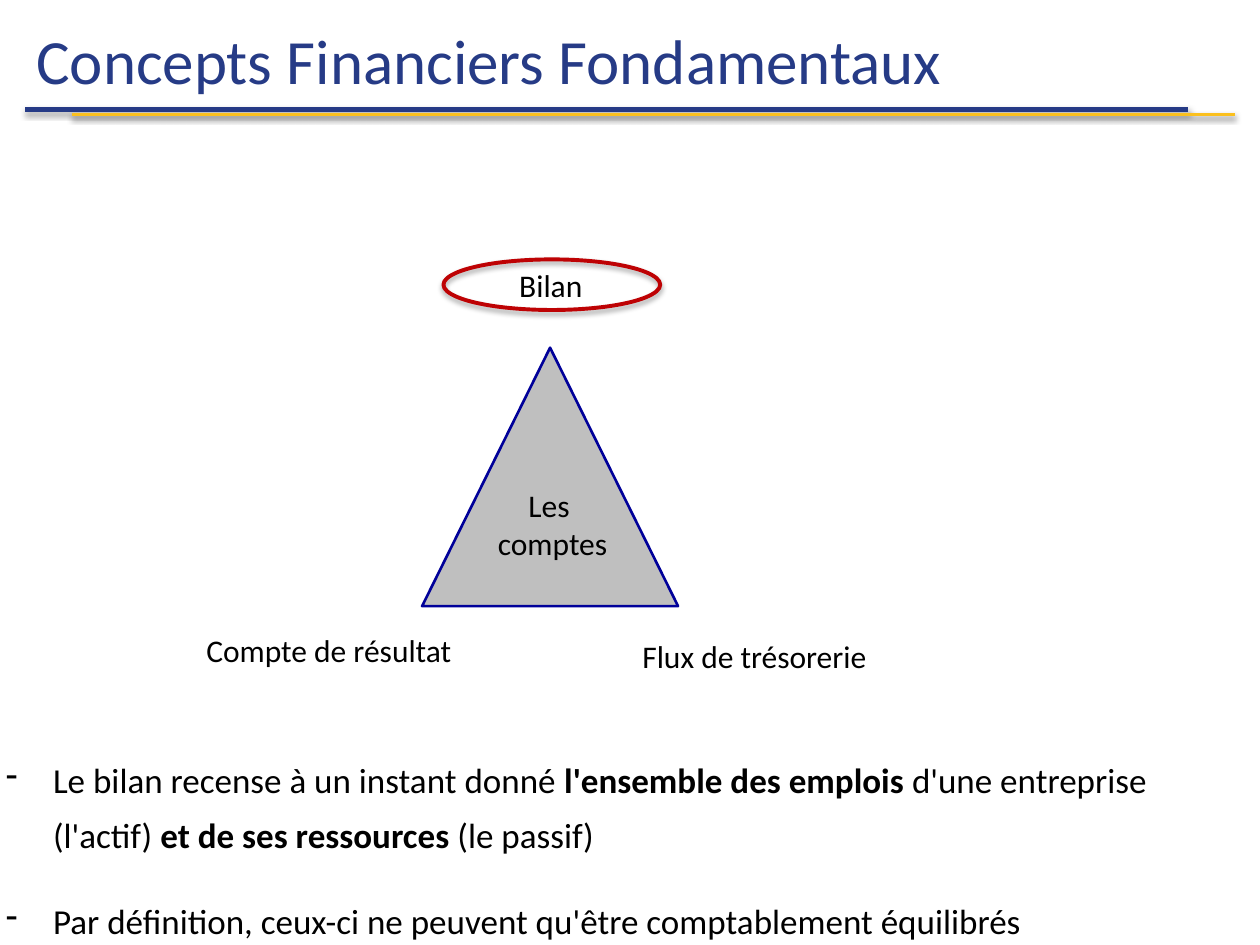
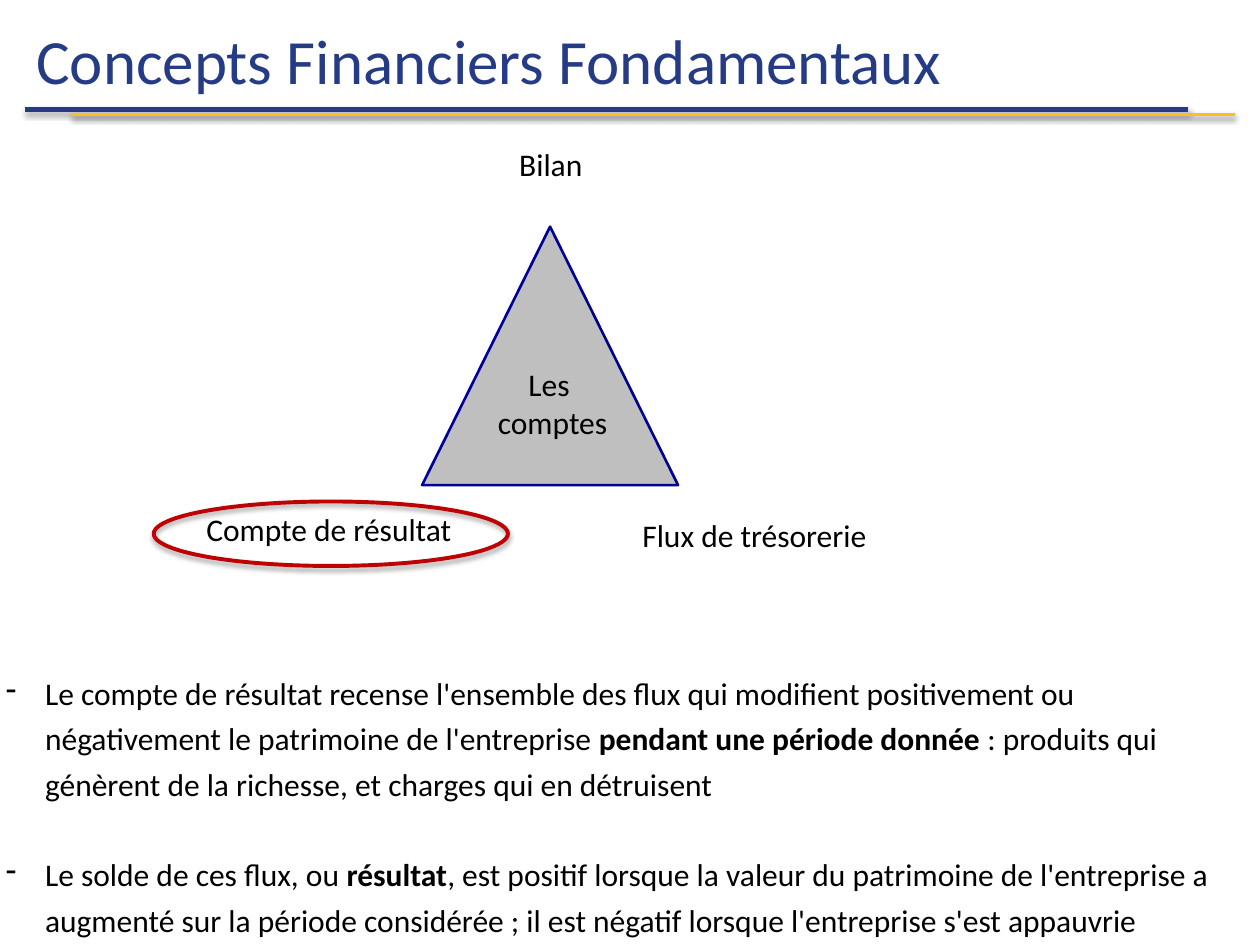
from dataclasses import dataclass

from lxml.etree import SubElement
from pptx import Presentation
from pptx.dml.color import RGBColor
from pptx.enum.shapes import MSO_CONNECTOR, MSO_SHAPE
from pptx.enum.text import MSO_ANCHOR, MSO_AUTO_SIZE, PP_ALIGN
from pptx.oxml.ns import qn
from pptx.util import Cm, Pt


@dataclass(frozen=True)
class Theme:
    font: str = "Calibri"
    navy: RGBColor = RGBColor(0x26, 0x3B, 0x86)
    gold: RGBColor = RGBColor(0xFB, 0xC0, 0x1E)
    black: RGBColor = RGBColor(0, 0, 0)
    grey: RGBColor = RGBColor(0xBF, 0xBF, 0xBF)
    outline: RGBColor = RGBColor(0, 0, 0x99)
    red: RGBColor = RGBColor(0xBE, 0x02, 0x04)
    title_size: int = 36
    label_size: int = 18


theme = Theme()


def write_text(shape, text, size=theme.label_size, color=theme.black,
               align=PP_ALIGN.LEFT, anchor=MSO_ANCHOR.TOP, margin=0,
               hanging=0, line_spacing=1.0, gap=0, grow=True):
    frame = shape.text_frame
    frame.word_wrap = True
    frame.auto_size = MSO_AUTO_SIZE.SHAPE_TO_FIT_TEXT if grow else MSO_AUTO_SIZE.NONE
    frame.vertical_anchor = anchor
    for index, line in enumerate(text.split("\n")):
        paragraph = frame.add_paragraph() if index else frame.paragraphs[0]
        properties = paragraph._p.get_or_add_pPr()
        properties.set("marL", str(Cm(margin)))
        properties.set("indent", str(Cm(-hanging)))
        if hanging:
            SubElement(properties, qn("a:buChar")).set("char", "-")
        paragraph.alignment = align
        paragraph.line_spacing = line_spacing
        paragraph.space_before = Pt(gap if index else 0)
        for position, part in enumerate(line.split("*")):
            if part:
                run = paragraph.add_run()
                run.text = part
                run.font.name = theme.font
                run.font.size = Pt(size)
                run.font.bold = position % 2 == 1
                run.font.color.rgb = color


def add_shadow(shape, distance, opacity):
    effects = SubElement(shape._element.spPr, qn("a:effectLst"))
    shadow = SubElement(effects, qn("a:outerShdw"), blurRad=str(Pt(3.1)),
                        dist=str(Pt(distance)), dir="5400000", rotWithShape="0")
    color = SubElement(shadow, qn("a:srgbClr"), val=str(theme.black))
    SubElement(color, qn("a:alpha"), val=str(opacity * 1000))


title_rules = [
    (0.51, 2.21, theme.navy, 3),
    (1.45, 2.31, theme.gold, 2),
]
rule_length = 23.44

corner_labels = [
    ("Bilan", 9.63, 0, 2.95, 1.02, PP_ALIGN.CENTER),
    ("Compte de résultat", 3.91, 7.37, 7.59, 1.6, PP_ALIGN.LEFT),
    ("Flux de trésorerie", 12.7, 7.49, 7.52, 1.6, PP_ALIGN.LEFT),
]

slides = [
    {
        "diagram_top": 5.23,
        "highlight": (8.94, 5.23, 4.37, 1.02),
        "body_top": 14.91,
        "body_height": 4.19,
        "body": "Le bilan recense à un instant donné *l'ensemble des emplois *"
                "d'une entreprise (l'actif) *et de ses ressources *(le passif)\n"
                "Par définition, ceux-ci ne peuvent qu'être comptablement équilibrés",
        "format": {"size": 20, "margin": 0.95, "hanging": 0.95,
                   "line_spacing": 1.3, "gap": 18},
    },
    {
        "diagram_top": 2.79,
        "highlight": (3.1, 10.11, 7.14, 1.3),
        "body_top": 13.31,
        "body_height": 5.77,
        "body": "Le compte de résultat recense l'ensemble des flux qui modifient "
                "positivement ou négativement le patrimoine de l'entreprise "
                "*pendant une période donnée *: produits qui génèrent de la "
                "richesse, et charges qui en détruisent\n"
                "Le solde de ces flux, ou *résultat*, est positif lorsque la valeur "
                "du patrimoine de l'entreprise a augmenté sur la période considérée ; "
                "il est négatif lorsque l'entreprise s'est appauvrie",
        "format": {"size": 18, "margin": 0.79, "hanging": 0.79,
                   "line_spacing": 1.2, "gap": 26},
    },
]

presentation = Presentation()
presentation.slide_width = Cm(25.4)
presentation.slide_height = Cm(19.05)
title_only = presentation.slide_layouts[5]

for content in slides:
    slide = presentation.slides.add_slide(title_only)
    top = content["diagram_top"]

    for left, height, color, width in title_rules:
        rule = slide.shapes.add_connector(
            MSO_CONNECTOR.STRAIGHT, Cm(left), Cm(height),
            Cm(left + rule_length), Cm(height))
        rule.line.color.rgb = color
        rule.line.width = Pt(width)
        add_shadow(rule, 1.6, 38)

    title = slide.shapes.title
    title.left, title.top, title.width, title.height = Cm(0), Cm(0.05), Cm(25.4), Cm(2.31)
    write_text(title, "Concepts Financiers Fondamentaux", size=theme.title_size,
               color=theme.navy, anchor=MSO_ANCHOR.MIDDLE, margin=0.48, grow=False)

    diagram = slide.shapes.add_group_shape()
    triangle = diagram.shapes.add_shape(
        MSO_SHAPE.ISOSCELES_TRIANGLE, Cm(8.51), Cm(top + 1.78), Cm(5.16), Cm(5.21))
    triangle.shadow.inherit = False
    triangle.fill.solid()
    triangle.fill.fore_color.rgb = theme.grey
    triangle.line.color.rgb = theme.outline
    triangle.line.width = Pt(1.5)

    for text, left, offset, width, height, align in corner_labels:
        label = diagram.shapes.add_textbox(
            Cm(left), Cm(top + offset), Cm(width), Cm(height))
        write_text(label, text, align=align)

    highlight = slide.shapes.add_shape(
        MSO_SHAPE.OVAL, *[Cm(length) for length in content["highlight"]])
    highlight.fill.background()
    highlight.line.color.rgb = theme.red
    highlight.line.width = Pt(2.25)
    add_shadow(highlight, 1.8, 35)

    center_label = slide.shapes.add_textbox(Cm(9.3), Cm(top + 4.45), Cm(3.68), Cm(1.8))
    write_text(center_label, "Les \ncomptes", align=PP_ALIGN.CENTER)

    body = slide.shapes.add_textbox(
        Cm(-0.13), Cm(content["body_top"]), Cm(25.4), Cm(content["body_height"]))
    write_text(body, content["body"], **content["format"])

presentation.save("out.pptx")
